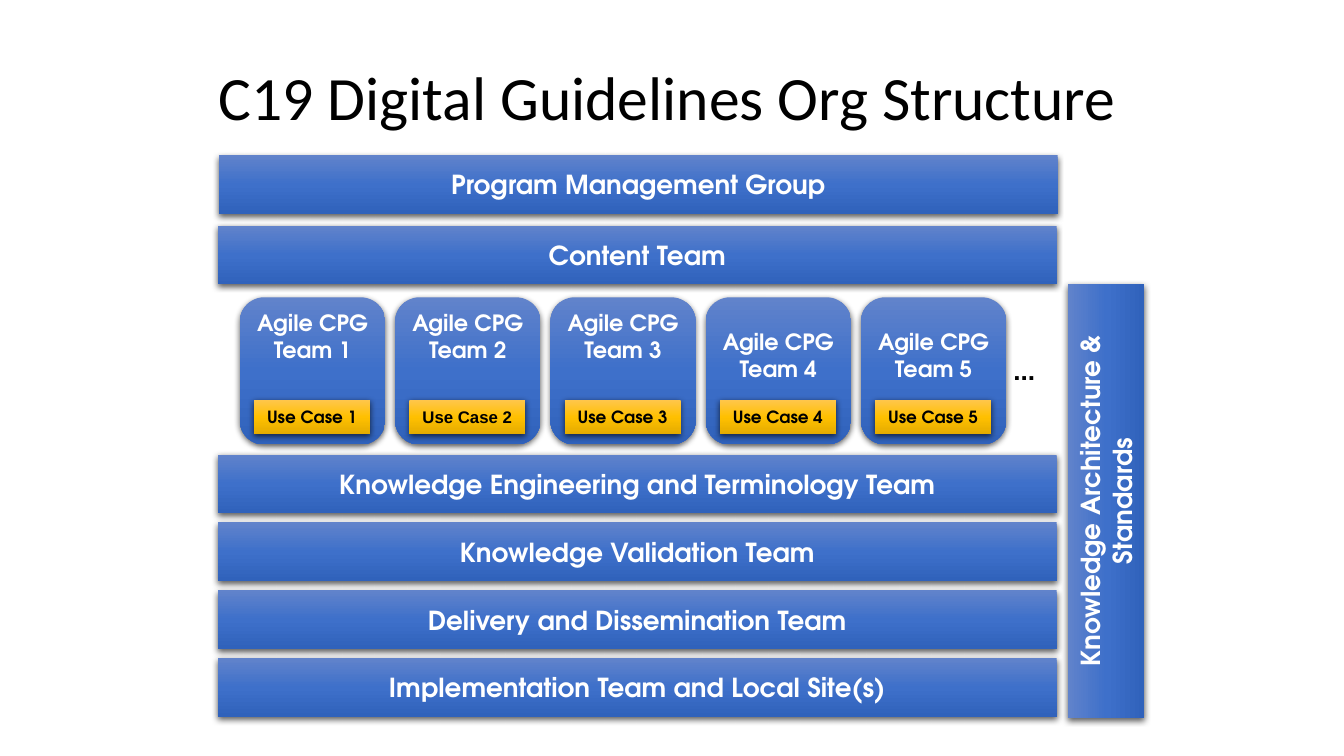
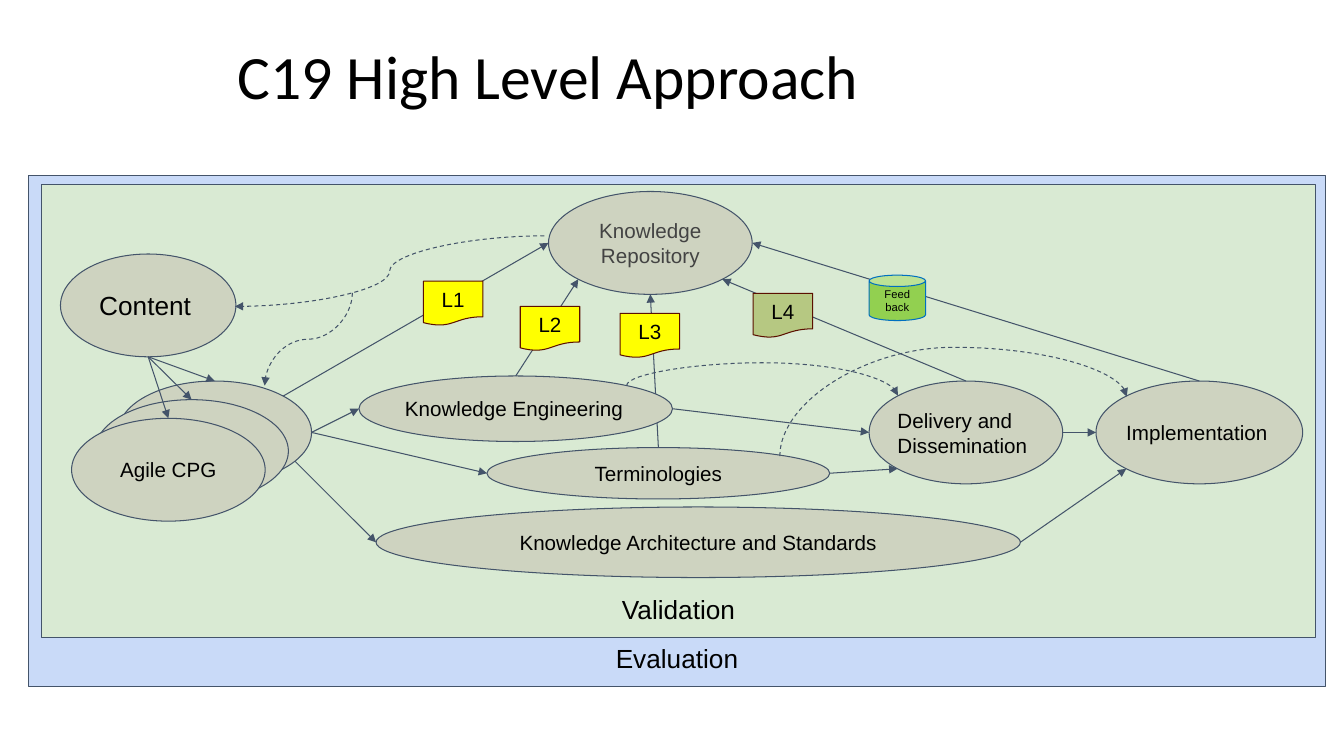
import math

import pptx
import pptx.dml.color
import pptx.enum.dml
import pptx.enum.shapes
import pptx.enum.text
import pptx.oxml
import pptx.oxml.ns
import pptx.util
from lxml import etree

Inches = pptx.util.Inches
Pt = pptx.util.Pt
qn = pptx.oxml.ns.qn
Kind = pptx.enum.shapes.MSO_SHAPE
Wire = pptx.enum.shapes.MSO_CONNECTOR
Align = pptx.enum.text.PP_ALIGN
Anchor = pptx.enum.text.MSO_ANCHOR

# Shared colours and fonts
BLACK, WHITE, GREY = "000000", "FFFFFF", "434343"
INK, STONE = "44546A", "CED3C0"
BLUES = ("6183CB", "3E70CA", "3062BB")
GOLDS = ("FFC64B", "FFC000", "E3AB00")
PLAIN, HEAD, ROUND = "Arial", "Calibri", "TeX Gyre Adventor"
TIGHT = (0.1, 0.05, 0.1, 0.05)
WIDE = (0.13, 0.13, 0.13, 0.13)
FLAT = (0, 0.13, 0, 0.13)


def color(code):
    return pptx.dml.color.RGBColor.from_string(code)


def add(parent, tag, **attrs):
    return etree.SubElement(parent, qn(tag), {k: str(v) for k, v in attrs.items()})


class Deck:
    def __init__(self):
        self.show = pptx.Presentation()
        self.show.slide_width = Inches(13.33)
        self.show.slide_height = Inches(7.5)

    def page(self, title, box):
        self.slide = self.show.slides.add_slide(self.show.slide_layouts[6])
        self.label(title, box, 44, HEAD, wrap=True)

    def fit(self, shape, text, size, font=PLAIN, ink=BLACK, bold=False,
            align=Align.CENTER, anchor=Anchor.MIDDLE, pad=TIGHT, wrap=True):
        """Set and style the text of a shape."""
        frame = shape.text_frame
        frame.word_wrap = wrap
        frame.vertical_anchor = anchor
        (frame.margin_left, frame.margin_top,
         frame.margin_right, frame.margin_bottom) = map(Inches, pad)
        frame.text = text
        para = frame.paragraphs[0]
        para.alignment = align
        for run in para.runs:
            run.font.size, run.font.name, run.font.bold = Pt(size), font, bold
            run.font.color.rgb = color(ink)

    def label(self, text, box, size, font=PLAIN, **style):
        shape = self.slide.shapes.add_textbox(*map(Inches, box))
        self.fit(shape, text, size, font, align=Align.LEFT, anchor=Anchor.TOP, **style)

    def shape(self, box, kind, fill, edge=INK):
        shape = self.slide.shapes.add_shape(kind, *map(Inches, box))
        shape.shadow.inherit = False
        shape.fill.solid()
        shape.fill.fore_color.rgb = color(fill)
        shape.line.color.rgb = color(edge)
        shape.line.width = Pt(0.75)
        return shape

    def gloss(self, text, box, size=18.7, kind=Kind.RECTANGLE, tones=BLUES,
              ink=WHITE, font=ROUND, turn=0, **style):
        """Box with a three-tone gradient and a soft shadow."""
        shape = self.shape(box, kind, tones[1])
        shape.line.fill.background()
        shape.rotation = turn
        shape.fill.gradient()
        shape.fill.gradient_angle = 270
        props = shape._element.spPr
        stops = props.find(".//" + qn("a:gsLst"))
        stops.clear()
        for place, tone in zip((0, 50000, 100000), tones):
            add(add(stops, "a:gs", pos=place), "a:srgbClr", val=tone)
        shade = add(props.find(qn("a:effectLst")), "a:outerShdw", blurRad=Pt(4.5),
                    dist=Pt(1.5), dir=5400000, algn="ctr", rotWithShape=0)
        add(add(shade, "a:srgbClr", val=BLACK), "a:alpha", val=63000)
        self.fit(shape, text, size, font, ink, bold=True, **style)

    def oval(self, box, text="", size=14.7, pad=FLAT, **style):
        shape = self.shape(box, Kind.OVAL, STONE)
        if text:
            self.fit(shape, text, size, pad=pad, **style)
        return shape

    def wire(self, kind, start, end):
        """Thin line with an arrowhead at its end."""
        line = self.slide.shapes.add_connector(kind, *map(int, (*start, *end)))
        line.line.color.rgb = color(INK)
        line.line.width = Pt(0.75)
        props = line._element.spPr
        add(props.find(qn("a:ln")), "a:tailEnd", type="triangle")
        add(props, "a:effectLst")
        return line

    def site(self, oval, spot):
        """Point on an oval; spots run left from the top in steps of 45 degrees."""
        angle = math.radians(90 + 45 * spot)
        return (oval.left + oval.width / 2 * (1 + math.cos(angle)),
                oval.top + oval.height / 2 * (1 - math.sin(angle)))

    def link(self, start, out, end, into, under=None):
        line = self.wire(Wire.STRAIGHT, self.site(start, out), self.site(end, into))
        glue = line._element.find(".//" + qn("p:cNvCxnSpPr"))
        add(glue, "a:stCxn", id=start.shape_id, idx=out)
        add(glue, "a:endCxn", id=end.shape_id, idx=into)
        if under is not None:
            under._element.addprevious(line._element)

    def curve(self, box, bend, turn=0, flip=False):
        x, y, w, h = map(Inches, box)
        left, right = (x + w, x) if flip else (x, x + w)
        line = self.wire(Wire.CURVE, (left, y), (right, y + h))
        line.line.dash_style = pptx.enum.dml.MSO_LINE.DASH
        props = line._element.spPr
        props.find(qn("a:xfrm")).set("rot", str(turn * 60000))
        guides = props.find(qn("a:prstGeom")).find(qn("a:avLst"))
        add(guides, "a:gd", name="adj1", fmla=f"val {round(bend * 100000)}")


def teams(deck):
    deck.page("C19 Digital Guidelines Org Structure", (2.07, 0.54, 9.75, 0.81))

    # Full-width bars
    deck.gloss("Program Management Group", (2.17, 1.54, 8.32, 0.58))
    deck.gloss("Content Team", (2.16, 2.24, 8.32, 0.58))
    lower = ("Knowledge Engineering and Terminology Team", "Knowledge Validation Team",
             "Delivery and Dissemination Team", "Implementation Team and Local Site(s)")
    step = (6.53 - 4.51) / (len(lower) - 1)
    for i, text in enumerate(lower):
        deck.gloss(text, (2.16, 4.51 + i * step, 8.32, 0.58))

    # Agile teams with their use cases
    for i in range(5):
        x = 2.38 + 1.54 * i
        if i < 3:
            style = {"anchor": Anchor.TOP}
        else:
            style = {"pad": (0.1, 0.05, 0.1, 0.36)}
        deck.gloss(f"Agile CPG Team {i + 1}", (x, 2.95, 1.44, 1.46), 16,
                   Kind.ROUNDED_RECTANGLE, **style)
        deck.gloss(f"Use Case {i + 1}", (x + 0.14, 3.97, 1.15, 0.34), 12, tones=GOLDS,
                   ink=BLACK, font=PLAIN if i == 1 else ROUND)
    deck.label("...", (9.92, 3.44, 0.49, 0.45), 18.7, bold=True,
               pad=(0.13, 0.07, 0.13, 0.07), wrap=False)

    # Upright bar
    deck.gloss("Knowledge Architecture & Standards", (8.82, 4.59, 4.3, 0.76), turn=270)


def approach(deck):
    deck.page("C19 High Level Approach", (2.26, 0.33, 10.66, 0.7))

    # Nested panels
    for text, box, fill in (("Evaluation", (0.28, 1.74, 12.87, 5.07), "C9DAF8"),
                            ("Validation", (0.41, 1.83, 12.64, 4.5), "D9EAD3")):
        panel = deck.shape(box, Kind.RECTANGLE, fill)
        deck.fit(panel, text, 18.7, anchor=Anchor.BOTTOM, pad=WIDE)

    # Stages
    left = {"align": Align.LEFT}
    content = deck.oval((0.6, 2.52, 1.74, 1.02), "Content", 18.7, WIDE, **left)
    base = deck.oval((3.73, 5.03, 6.39, 0.7), "Knowledge Architecture and Standards")
    send = deck.oval((8.62, 3.78, 1.92, 1.02), "Delivery and Dissemination", **left)
    store = deck.oval((5.44, 1.9, 2.02, 1.02), "Knowledge Repository", ink=GREY)
    rollout = deck.oval((10.87, 3.78, 2.05, 1.02), "Implementation", **left)
    stack = [deck.oval((1.17 - 0.23 * i, 3.78 + 0.185 * i, 1.92, 1.02),
                       "Agile CPG" if i == 2 else "") for i in range(3)]
    terms = deck.oval((4.83, 4.44, 3.4, 0.51), "Terminologies")
    craft = deck.oval((3.56, 3.73, 3.11, 0.65), "Knowledge Engineering", **left)

    # Flow between stages
    agile = stack[0]
    top, west, sw, south, se, east, ne = 0, 2, 3, 4, 5, 6, 7
    for card in stack:
        deck.link(content, south, card, top)
    deck.link(agile, top, base, west, under=agile)
    deck.link(terms, top, store, south, under=craft)
    for flow in ((agile, east, craft, west), (agile, east, terms, west),
                 (agile, ne, store, west), (craft, top, store, sw),
                 (craft, east, send, west), (terms, east, send, sw),
                 (send, east, rollout, west), (base, east, rollout, sw),
                 (send, top, store, se), (rollout, top, store, east)):
        deck.link(*flow)

    # Dashed feedback curves
    deck.curve((7.51, 2.53, 0.1, 2.69), -2.26, 270, flip=True)
    deck.curve((9.16, 2.51, 0.59, 3.44), 1.83, 270)
    deck.curve((2.33, 2.34, 3.07, 0.7), 0.5, flip=True)
    deck.curve((2.6, 2.93, 0.92, 0.87), 0.5, 90)

    # Level tags and feedback store
    for i, (x, y) in enumerate(((4.2, 2.79), (5.16, 3.04), (6.15, 3.11), (7.47, 2.91))):
        tag = deck.shape((x, y, 0.59, 0.44), Kind.FLOWCHART_DOCUMENT,
                         "B6C882" if i == 3 else "FFFF00", "5B0F00")
        deck.fit(tag, f"L{i + 1}", 14.7, pad=WIDE)
    can = deck.shape((8.62, 2.73, 0.56, 0.45), Kind.CAN, "92D050", "0070C0")
    deck.fit(can, "Feed back", 8, pad=(0.13, 0.07, 0.13, 0.07))


def main():
    deck = Deck()
    teams(deck)
    approach(deck)
    deck.show.save("out.pptx")


if __name__ == "__main__":
    main()
